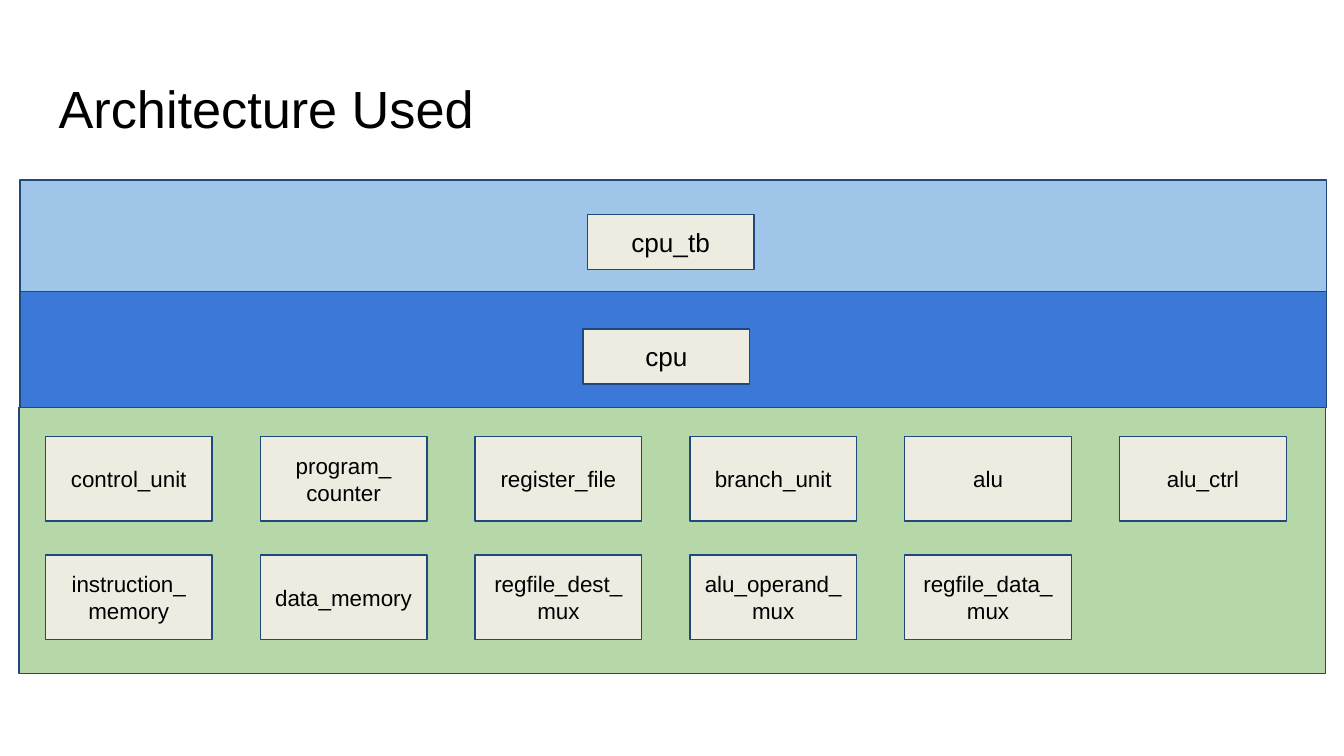
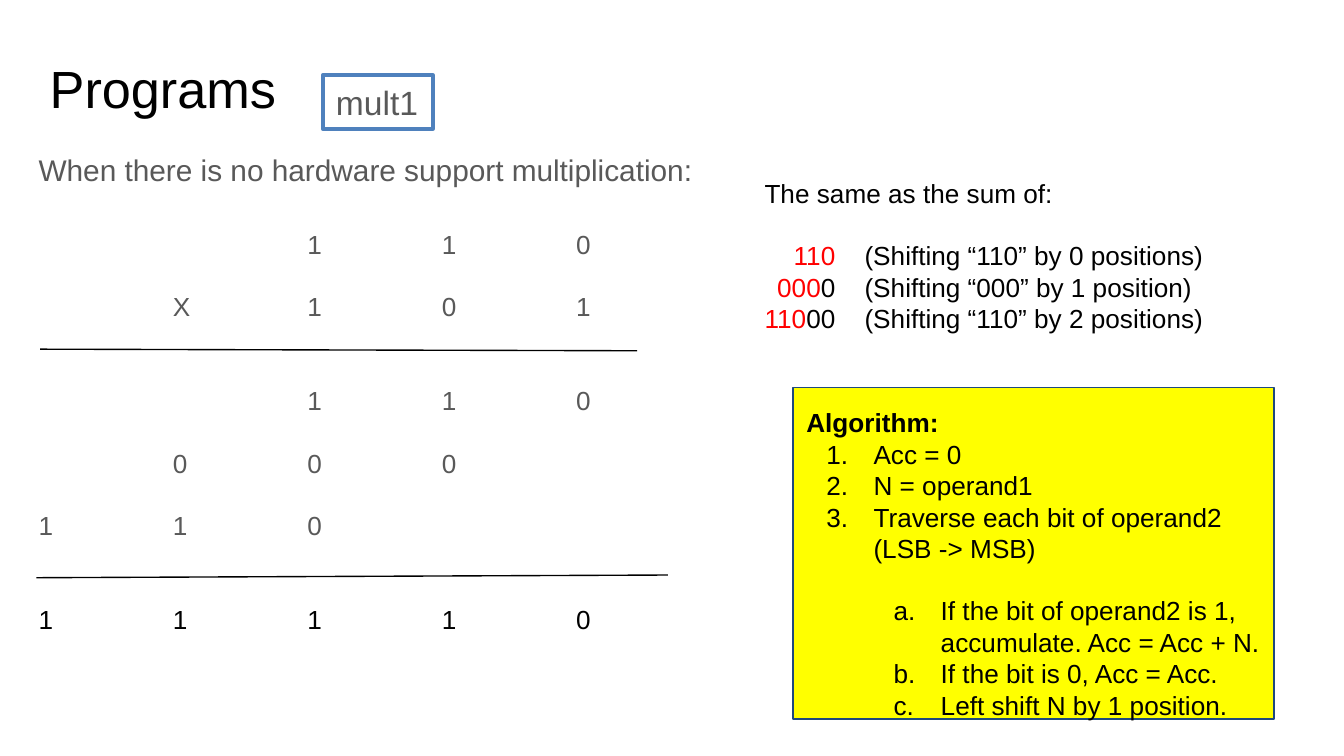
from lxml.etree import SubElement
from pptx import Presentation
from pptx.dml.color import RGBColor
from pptx.enum.shapes import MSO_CONNECTOR, MSO_SHAPE
from pptx.enum.text import MSO_ANCHOR, MSO_AUTO_SIZE, PP_ALIGN
from pptx.oxml.ns import qn
from pptx.util import Cm, Pt

FONT = "Arial"
BLACK, GRAY, RED, WHITE = "000000", "595959", "FF0000", "FFFFFF"
NAVY, BLUE, CREAM = "1F497D", "4F81BD", "EEECE1"
PALE, DEEP, GREEN, YELLOW = "9FC5E8", "3C78D8", "B6D7A8", "FFFF00"
PAD = 0.25
LINE = 16.7  # height of one 14 pt line, in points

MODULES = [
    ["control_unit", "program_\ncounter", "register_file",
     "branch_unit", "alu", "alu_ctrl"],
    ["instruction_\nmemory", "data_memory", "regfile_dest_mux",
     "alu_operand_mux", "regfile_data_mux"],
]
# Text and the space before it, in lines
DIGITS = [
    ("\t\t1\t1\t0", 1.3), ("\tX\t1\t0\t1", 1),
    ("\t\t1\t1\t0", 2), ("\t0\t0\t0", 1), ("1\t1\t0", 1),
    ("1\t1\t1\t1\t0", 2),
]
# Red digits, black zeros, remark
SHIFTS = [
    ("110", "", "(Shifting “110” by 0 positions)"),
    ("000", "0", "(Shifting “000” by 1 position)"),
    ("110", "00", "(Shifting “110” by 2 positions)"),
]
STEPS = ["Acc = 0", "N = operand1",
         "Traverse each bit of operand2 (LSB -> MSB)"]
CASES = ["If the bit of operand2 is 1, accumulate. Acc = Acc + N.",
         "If the bit is 0, Acc = Acc.", "Left shift N by 1 position."]


def color(code):
    return RGBColor.from_string(code)


def place(shape, left, top, width, height):
    shape.left, shape.top = Cm(left), Cm(top)
    shape.width, shape.height = Cm(width), Cm(height)


def style(run, size=14, tint=BLACK, bold=False):
    run.font.name, run.font.size = FONT, Pt(size)
    run.font.bold = bold
    run.font.color.rgb = color(tint)


def setup(frame, anchor=MSO_ANCHOR.TOP, top=PAD, bottom=PAD):
    frame.word_wrap = True
    frame.auto_size = MSO_AUTO_SIZE.NONE
    frame.vertical_anchor = anchor
    frame.margin_left = frame.margin_right = Cm(PAD)
    frame.margin_top, frame.margin_bottom = Cm(top), Cm(bottom)


def add_para(frame, text, size=14, tint=BLACK, bold=False, before=0):
    para = frame.paragraphs[0] if not frame.text else frame.add_paragraph()
    para.text = text
    para.alignment = PP_ALIGN.LEFT
    para.space_before = Pt(before)
    for run in para.runs:
        style(run, size, tint, bold)
    return para


def add_tabs(para, stops):
    tabs = SubElement(para._p.get_or_add_pPr(), qn("a:tabLst"))
    for pos, side in stops:
        SubElement(tabs, qn("a:tab"), pos=str(Cm(pos)), algn=side)


def number(para, indent, kind):
    props = para._p.get_or_add_pPr()
    props.set("marL", str(Cm(indent)))
    props.set("indent", str(Cm(-0.89)))
    SubElement(props, qn("a:buFont"), typeface=FONT)
    SubElement(props, qn("a:buAutoNum"), type=kind)


def add_title(deck, text, left, top):
    slide = deck.slides.add_slide(deck.slide_layouts[5])
    title = slide.shapes.title
    place(title, left, top, 23.67, 1.6)
    setup(title.text_frame)
    add_para(title.text_frame, text, 28)
    return slide


def add_rect(slide, spot, fill, edge=NAVY, weight=0.75):
    rect = slide.shapes.add_shape(MSO_SHAPE.RECTANGLE, 0, 0, 0, 0)
    place(rect, *spot)
    rect.shadow.inherit = False
    rect.fill.solid()
    rect.fill.fore_color.rgb = color(fill)
    rect.line.color.rgb = color(edge)
    rect.line.width = Pt(weight)
    return rect


def add_block(slide, text, spot, size):
    frame = add_rect(slide, spot, CREAM).text_frame
    setup(frame, MSO_ANCHOR.MIDDLE)
    for part in text.split("\n"):
        add_para(frame, part, size).alignment = PP_ALIGN.CENTER


def add_text(slide, *spot):
    box = slide.shapes.add_textbox(0, 0, 0, 0)
    place(box, *spot)
    setup(box.text_frame)
    return box.text_frame


def add_rule(slide, *ends):
    rule = slide.shapes.add_connector(
        MSO_CONNECTOR.STRAIGHT, *[Cm(end) for end in ends])
    rule.line.color.rgb = color(BLACK)
    rule.line.width = Pt(0.75)
    SubElement(rule._element.spPr, qn("a:effectLst"))


def add_sum(slide):
    frame = add_text(slide, 0.48, 2.62, 13.56, 9.5)
    add_para(frame, "When there is no hardware support multiplication:",
             16, GRAY)
    for text, gap in DIGITS:
        last = text == DIGITS[-1][0]
        para = add_para(frame, text, 14, BLACK if last else GRAY,
                        before=gap * LINE)
        add_tabs(para, [(2.54 * col, "l") for col in range(1, 5)])
    add_rule(slide, 0.76, 6.6, 12.04, 6.63)
    add_rule(slide, 0.69, 10.92, 12.62, 10.87)


def add_shifts(slide):
    frame = add_text(slide, 14.2, 3.1, 9.09, 3.53)
    add_para(frame, "The same as the sum of:")
    for row, (digits, zeros, note) in enumerate(SHIFTS):
        para = add_para(frame, f"\t{digits}", tint=RED,
                        before=0 if row else LINE)
        add_tabs(para, [(1.34, "r"), (1.89, "l")])
        run = para.add_run()
        run.text = f"{zeros}\t{note}"
        style(run)


def add_steps(slide):
    frame = add_rect(slide, (14.99, 7.32, 9.09, 6.27), YELLOW).text_frame
    setup(frame, top=0.37, bottom=0)
    add_para(frame, "Algorithm:", bold=True)
    for text in STEPS:
        number(add_para(frame, text), 1.27, "arabicPeriod")
    for row, text in enumerate(CASES):
        para = add_para(frame, text, before=0 if row else LINE)
        para.level = 1
        number(para, 2.54, "alphaLcPeriod")


def main():
    deck = Presentation()
    deck.slide_width, deck.slide_height = Cm(25.4), Cm(14.29)

    # Architecture: three layers and their modules
    slide = add_title(deck, "Architecture Used", 0.86, 1.19)
    add_rect(slide, (0.38, 5.49, 24.69, 2.21), DEEP)
    add_rect(slide, (0.38, 3.4, 24.69, 2.11), PALE)
    add_rect(slide, (0.36, 7.7, 24.69, 5.03), GREEN)
    add_block(slide, "cpu_tb", (11.1, 4.06, 3.15, 1.04), 14)
    add_block(slide, "cpu", (11.02, 6.22, 3.15, 1.04), 14)
    for row, names in enumerate(MODULES):
        for col, name in enumerate(names):
            spot = (0.86 + 4.06 * col, 8.25 + 2.24 * row, 3.15, 1.6)
            add_block(slide, name, spot, 12)

    # Programs: multiplication by shift and add
    slide = add_title(deck, "Programs", 0.69, 0.81)
    add_sum(slide)
    add_shifts(slide)
    add_steps(slide)
    tag = add_rect(slide, (6.1, 1.42, 2.08, 1.02), WHITE, BLUE, 2)
    add_para(tag.text_frame, "mult1", 18, GRAY)
    tag.text_frame.word_wrap = False

    deck.save("out.pptx")


if __name__ == "__main__":
    main()
